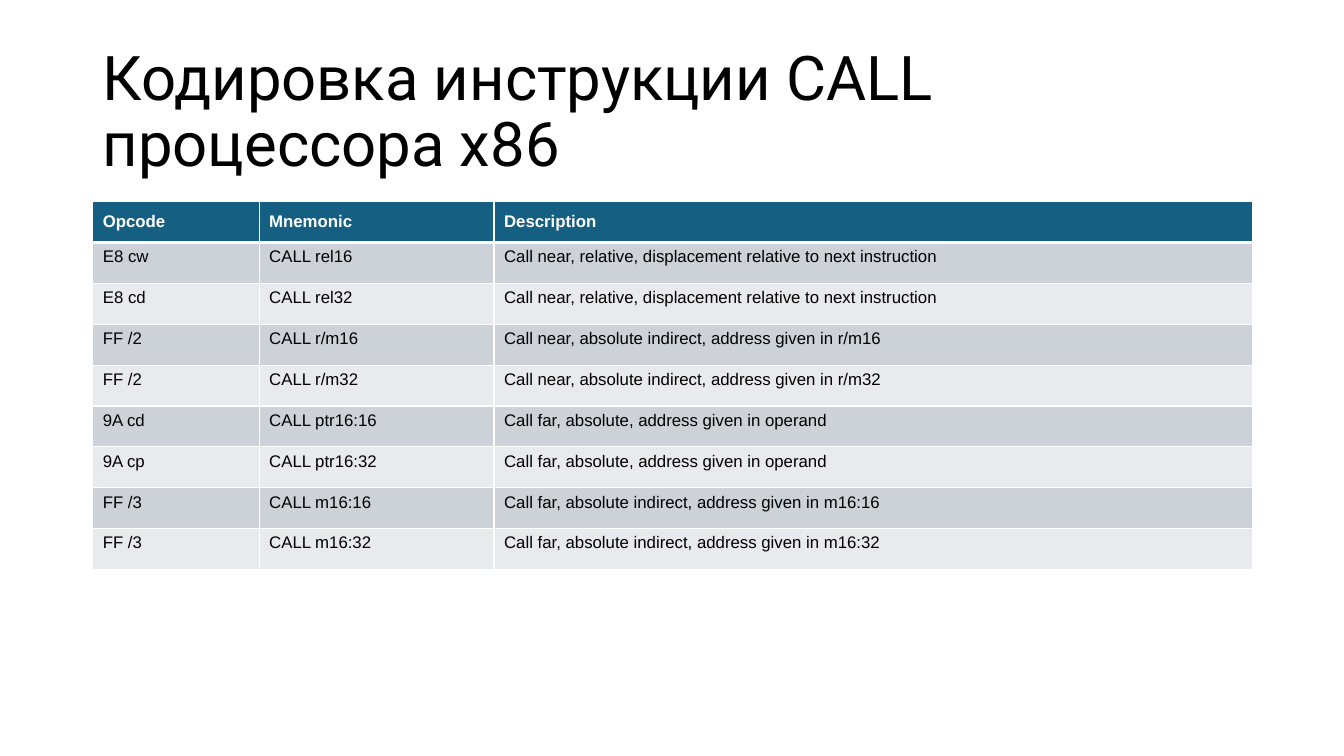
from dataclasses import dataclass

from lxml.etree import SubElement
from pptx import Presentation
from pptx.dml.color import RGBColor
from pptx.enum.text import MSO_ANCHOR
from pptx.oxml.ns import qn
from pptx.util import Inches, Pt


@dataclass(frozen=True)
class Theme:
    title_font: str = "Roboto"
    table_font: str = "Arial"
    title_size: int = 44
    table_size: int = 12
    text: str = "000000"
    header_text: str = "FFFFFF"
    header_fill: str = "156082"
    bands: tuple = ("CCD2D8", "E8EAED")
    border: str = "FFFFFF"
    thin: int = 1
    thick: int = 3


THEME = Theme()

TITLE = "Кодировка инструкции CALL процессора x86"
HEADER = ("Opcode", "Mnemonic", "Description")
INSTRUCTIONS = [
    ("E8 cw", "CALL rel16", "Call near, relative, displacement relative to next instruction"),
    ("E8 cd", "CALL rel32", "Call near, relative, displacement relative to next instruction"),
    ("FF /2", "CALL r/m16", "Call near, absolute indirect, address given in r/m16"),
    ("FF /2", "CALL r/m32", "Call near, absolute indirect, address given in r/m32"),
    ("9A cd", "CALL ptr16:16", "Call far, absolute, address given in operand"),
    ("9A cp", "CALL ptr16:32", "Call far, absolute, address given in operand"),
    ("FF /3", "CALL m16:16", "Call far, absolute indirect, address given in m16:16"),
    ("FF /3", "CALL m16:32", "Call far, absolute indirect, address given in m16:32"),
]
COLUMN_SHARES = (1.65, 2.33, 7.52)


def format_run(r, font, size, color, bold=False):
    r.font.name = font
    r.font.size = Pt(size)
    r.font.bold = bold
    r.font.color.rgb = RGBColor.from_string(color)


def set_borders(cell, top, bottom):
    """Draw the four cell borders; must run before the fill is set."""
    tc_pr = cell._tc.get_or_add_tcPr()
    widths = {"a:lnL": THEME.thin, "a:lnR": THEME.thin, "a:lnT": top, "a:lnB": bottom}
    for tag, width in widths.items():
        ln = SubElement(tc_pr, qn(tag), w=str(Pt(width)))
        fill = SubElement(ln, qn("a:solidFill"))
        SubElement(fill, qn("a:srgbClr"), val=THEME.border)


def add_title(slide, left, top, width, height):
    sp = slide.shapes.add_textbox(Inches(left), Inches(top), Inches(width), Inches(height))
    tf = sp.text_frame
    tf.word_wrap = True
    tf.vertical_anchor = MSO_ANCHOR.MIDDLE
    tf.text = TITLE
    p = tf.paragraphs[0]
    p.line_spacing = 0.9
    format_run(p.runs[0], THEME.title_font, THEME.title_size, THEME.text)


def add_opcode_table(slide, left, top, width, height):
    rows = [HEADER, *INSTRUCTIONS]
    table = slide.shapes.add_table(len(rows), len(HEADER), Inches(left), Inches(top),
                                   Inches(width), Inches(height)).table
    for column, share in zip(table.columns, COLUMN_SHARES):
        column.width = Inches(width * share / sum(COLUMN_SHARES))

    for i, values in enumerate(rows):
        is_header = i == 0
        fill = THEME.header_fill if is_header else THEME.bands[(i - 1) % 2]
        color = THEME.header_text if is_header else THEME.text
        for j, value in enumerate(values):
            cell = table.cell(i, j)
            # The heavy rule lies between the header and the first row
            set_borders(cell, top=THEME.thick if i == 1 else THEME.thin,
                        bottom=THEME.thick if is_header else THEME.thin)
            cell.fill.solid()
            cell.fill.fore_color.rgb = RGBColor.from_string(fill)
            cell.vertical_anchor = MSO_ANCHOR.MIDDLE if is_header else MSO_ANCHOR.TOP
            cell.text = value
            format_run(cell.text_frame.paragraphs[0].runs[0], THEME.table_font,
                       THEME.table_size, color, bold=is_header)


def main():
    prs = Presentation()
    prs.slide_width = Inches(13.33)
    prs.slide_height = Inches(7.5)
    s = prs.slides.add_slide(prs.slide_layouts[6])
    add_title(s, 0.92, 0.4, 11.5, 1.45)
    add_opcode_table(s, 0.92, 2, 11.5, 3.65)
    prs.save("out.pptx")


if __name__ == "__main__":
    main()
